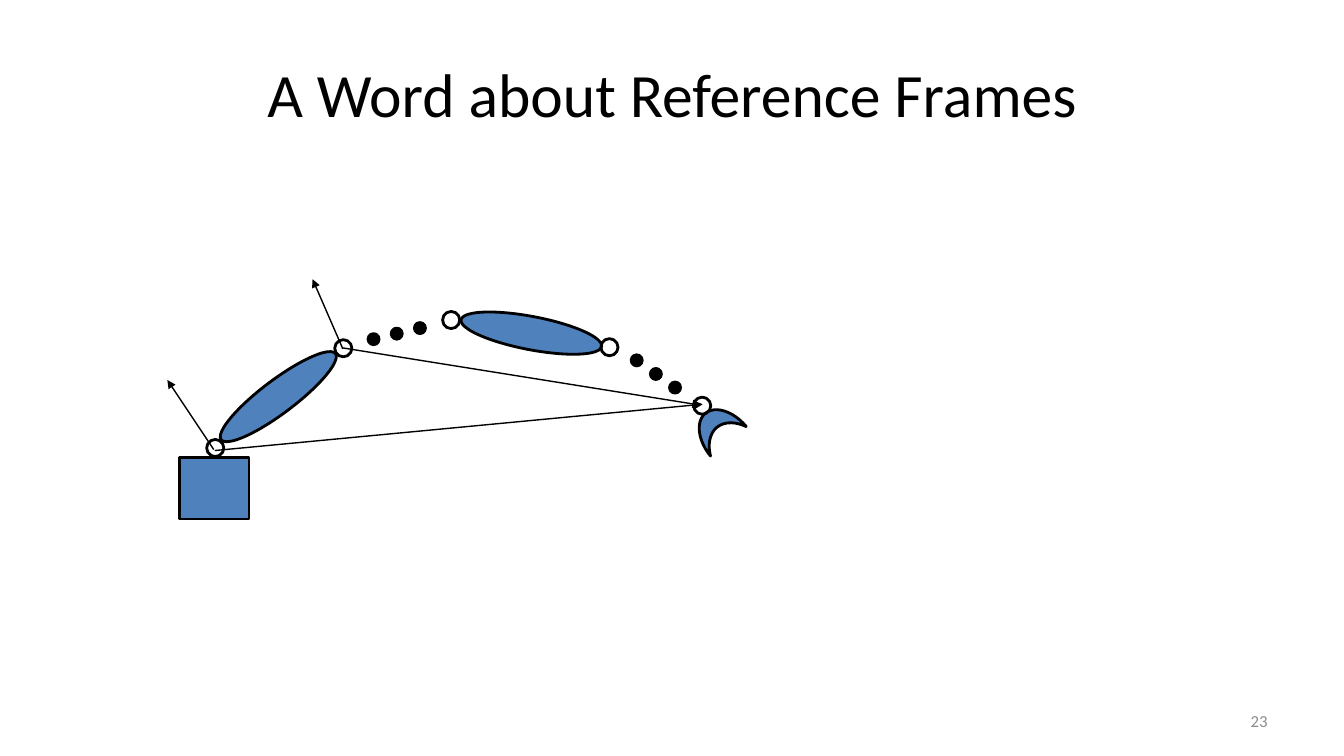
import pptx
import pptx.dml.color
import pptx.enum.shapes
import pptx.enum.text
import pptx.oxml.ns
import pptx.util
import lxml.etree

Inches = pptx.util.Inches
Kind = pptx.enum.shapes.MSO_SHAPE
Align = pptx.enum.text.PP_ALIGN


class Theme:
    font = "Calibri"
    black = pptx.dml.color.RGBColor(0x00, 0x00, 0x00)
    blue = pptx.dml.color.RGBColor(0x4F, 0x81, 0xBD)
    gray = pptx.dml.color.RGBColor(0x8C, 0x8C, 0x8C)
    title = pptx.util.Pt(44)
    number = pptx.util.Pt(12)
    edge = pptx.util.Pt(2)
    thin = pptx.util.Pt(1)


deck = pptx.Presentation()
deck.slide_width = Inches(13.33)
deck.slide_height = Inches(7.5)
slide = deck.slides.add_slide(deck.slide_layouts[6])


def add_part(kind, left, top, width, height, fill=None, turn=0):
    part = slide.shapes.add_shape(
        kind, Inches(left), Inches(top), Inches(width), Inches(height))
    part.shadow.inherit = False
    part.rotation = turn
    if fill is None:
        part.fill.background()
    else:
        part.fill.solid()
        part.fill.fore_color.rgb = fill
    part.line.color.rgb = Theme.black
    part.line.width = Theme.edge


def add_label(text, left, top, width, height, align, size, color):
    box = slide.shapes.add_textbox(
        Inches(left), Inches(top), Inches(width), Inches(height))
    frame = box.text_frame
    frame.word_wrap = True
    frame.vertical_anchor = pptx.enum.text.MSO_ANCHOR.MIDDLE
    line = frame.paragraphs[0]
    line.alignment = align
    run = line.add_run()
    run.text = text
    run.font.name = Theme.font
    run.font.size = size
    run.font.color.rgb = color


# Title and slide number
add_label("A Word about Reference Frames", 0.67, 0.3, 12, 1.25,
          Align.CENTER, Theme.title, Theme.black)
add_label("23", 9.56, 6.95, 3.11, 0.4, Align.RIGHT, Theme.number, Theme.gray)

# Arm links, base and gripper
for left, top, turn in [(2.05, 3.77, 323), (4.56, 3.14, 10.8)]:
    add_part(Kind.OVAL, left, top, 1.42, 0.33, Theme.blue, turn)
add_part(Kind.RECTANGLE, 1.78, 4.54, 0.69, 0.61, Theme.blue)
add_part(Kind.MOON, 6.93, 4.01, 0.36, 0.46, Theme.blue, 50.5)

# Joints
for left, top in [(2.05, 4.36), (3.32, 3.37), (4.39, 3.09),
                  (5.96, 3.36), (6.88, 3.94)]:
    add_part(Kind.OVAL, left, top, 0.17, 0.17)

# Dots for the links left out
for left, top, across, down in [(3.65, 3.31, 0.23, -0.055),
                                (6.26, 3.52, 0.19, 0.135)]:
    for step in range(3):
        add_part(Kind.OVAL, left + step * across, top + step * down,
                 0.11, 0.11, Theme.black)

# Frame axes and position vectors
for x1, y1, x2, y2 in [(3.39, 3.45, 6.95, 4.02), (3.4, 3.46, 3.1, 2.77),
                       (2.12, 4.46, 1.66, 3.77), (2.13, 4.47, 6.97, 4.01)]:
    arrow = slide.shapes.add_connector(
        pptx.enum.shapes.MSO_CONNECTOR.STRAIGHT,
        Inches(x1), Inches(y1), Inches(x2), Inches(y2))
    arrow.line.color.rgb = Theme.black
    arrow.line.width = Theme.thin
    props = arrow.element.spPr
    lxml.etree.SubElement(arrow.line._get_or_add_ln(),
                          pptx.oxml.ns.qn("a:tailEnd"), type="triangle")
    lxml.etree.SubElement(props, pptx.oxml.ns.qn("a:effectLst"))

deck.save("out.pptx")
